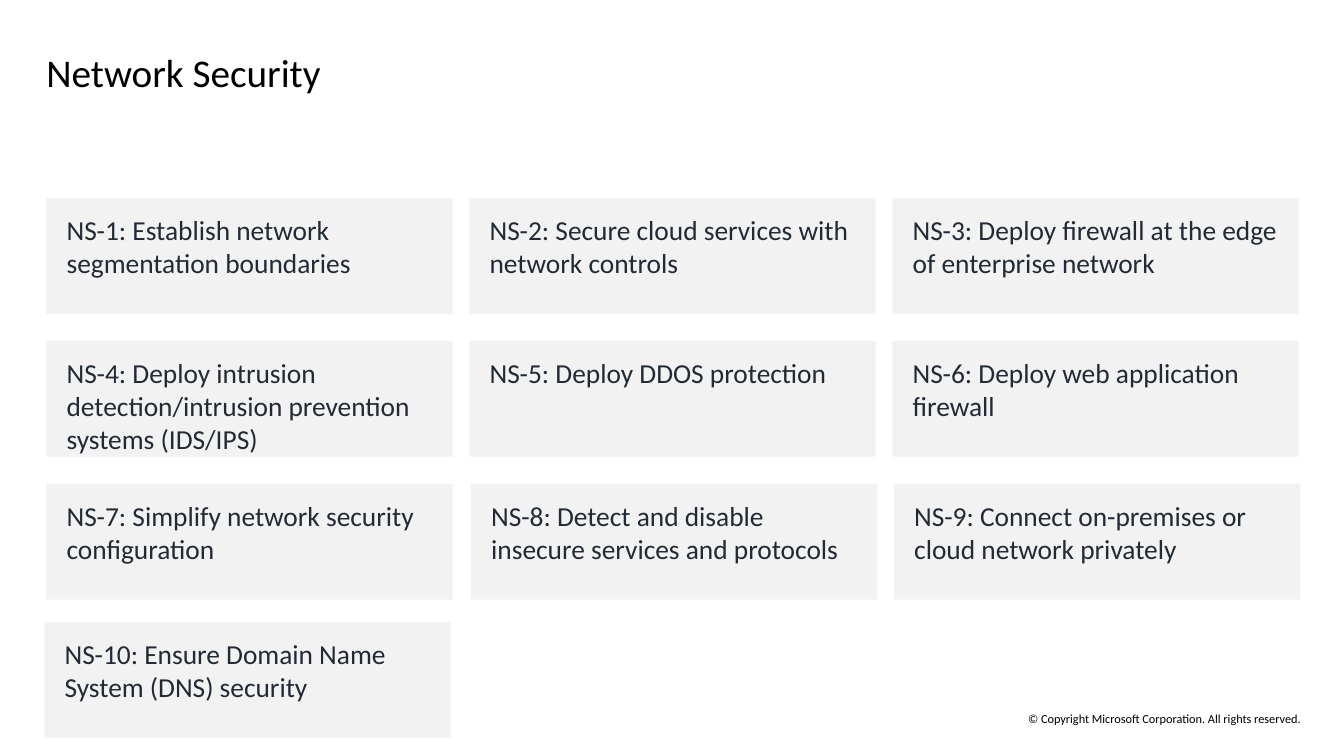
"""Build the Network Security slide: ten control cards under a title."""
from pptx import Presentation
from pptx import util as u
from pptx.dml.color import RGBColor
from pptx.enum import shapes, text

COLORS = {"title": "000000", "card": "F2F2F2", "body": "222A35"}
WIDTH, HEIGHT = 10.24, 2.92
STEP = 10.66
ROWS = [
    (5.0, [1.17, 1.17, 1.17], [
        "NS-1: Establish network segmentation boundaries",
        "NS-2: Secure cloud services with network controls",
        "NS-3: Deploy firewall at the edge of enterprise network"]),
    (8.59, [1.17, 1.17, 1.17], [
        "NS-4: Deploy intrusion detection/intrusion prevention systems (IDS/IPS)",
        "NS-5: Deploy DDOS protection",
        "NS-6: Deploy web application firewall"]),
    (12.19, [1.17, 1.21, 1.21], [
        "NS-7: Simplify network security configuration",
        "NS-8: Detect and disable insecure services and protocols",
        "NS-9: Connect on-premises or cloud network privately"]),
    (15.67, [1.12], [
        "NS-10: Ensure Domain Name System (DNS) security"]),
]


def write(shape, words, size, color, align, anchor, pad=(0, 0)):
    """Fill a shape with one styled run and return its paragraph."""
    frame = shape.text_frame
    frame.word_wrap = True
    frame.vertical_anchor = anchor
    frame.margin_left = frame.margin_right = u.Cm(pad[0])
    frame.margin_top = frame.margin_bottom = u.Cm(pad[1])
    para = frame.paragraphs[0]
    para.alignment = align
    run = para.add_run()
    run.text = words
    run.font.name = "Calibri"
    run.font.size = u.Pt(size)
    run.font.color.rgb = RGBColor.from_string(COLORS[color])
    return para


deck = Presentation()
deck.slide_width, deck.slide_height = u.Cm(33.87), u.Cm(19.05)
slide = deck.slides.add_slide(deck.slide_layouts[6])

footer = slide.shapes.add_textbox(u.Cm(24.84), u.Cm(17.93), u.Cm(9.02), u.Cm(0.38))
write(footer, "© Copyright Microsoft Corporation. All rights reserved.", 8.8, "title",
      text.PP_ALIGN.CENTER, text.MSO_ANCHOR.MIDDLE)

title = slide.shapes.add_textbox(u.Cm(1.17), u.Cm(1.3), u.Cm(31.52), u.Cm(1.09))
para = write(title, "Network Security", 28, "title",
             text.PP_ALIGN.LEFT, text.MSO_ANCHOR.MIDDLE)
para.line_spacing = u.Pt(31.4)

for top, starts, labels in ROWS:
    for col, (start, label) in enumerate(zip(starts, labels)):
        card = slide.shapes.add_shape(
            shapes.MSO_SHAPE.RECTANGLE, u.Cm(start + col * STEP), u.Cm(top),
            u.Cm(WIDTH), u.Cm(HEIGHT))
        card.shadow.inherit = False
        card.fill.solid()
        card.fill.fore_color.rgb = RGBColor.from_string(COLORS["card"])
        card.line.fill.background()
        write(card, label, 19.6, "body", text.PP_ALIGN.LEFT,
              text.MSO_ANCHOR.TOP, (0.51, 0.38))

deck.save("out.pptx")
